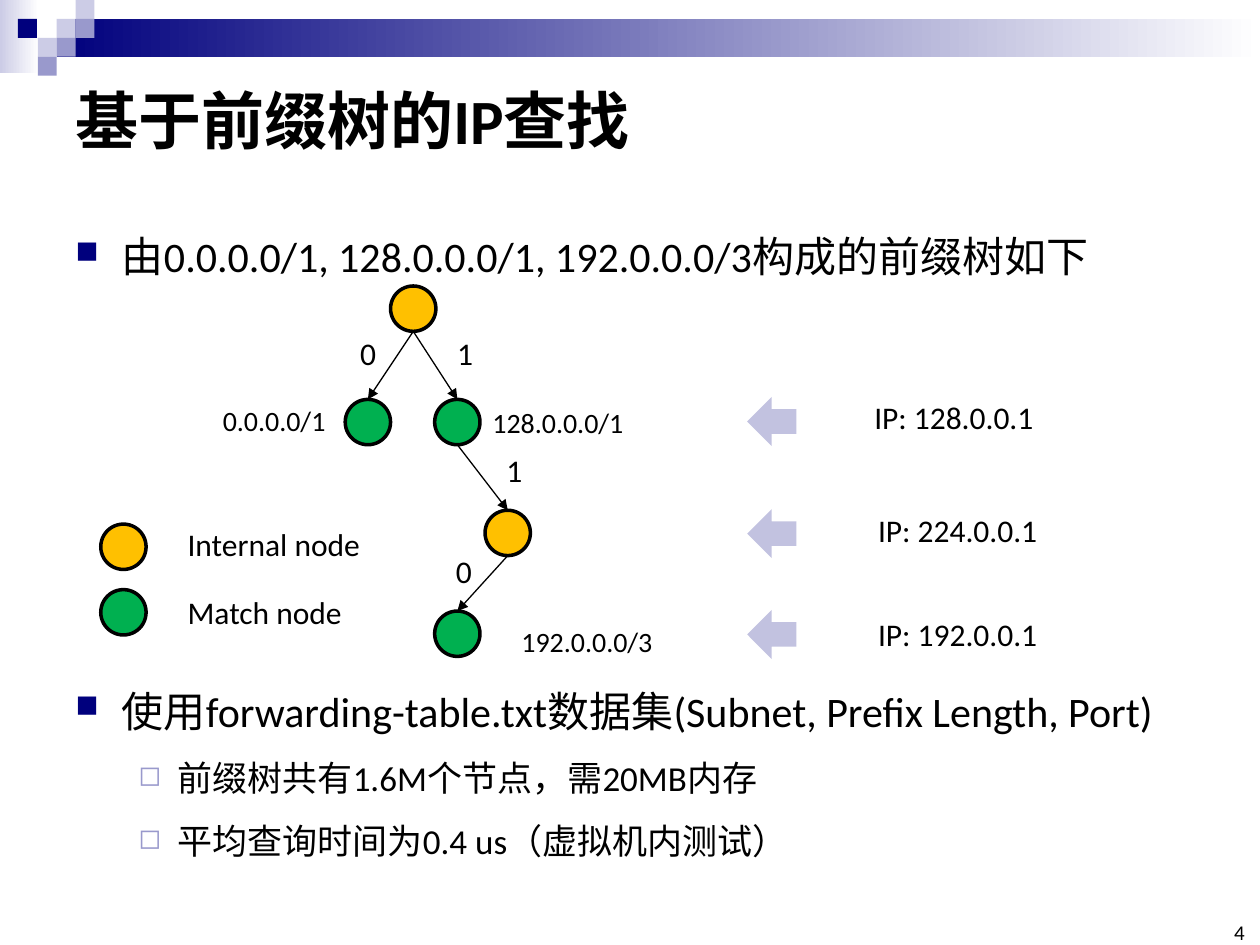
from lxml import etree
from pptx import Presentation
from pptx import util as u
from pptx.dml.color import RGBColor
from pptx.enum import shapes, text
from pptx.oxml.ns import qn

NAVY = RGBColor(0x00, 0x00, 0x7D)
LILAC = RGBColor(0x99, 0x99, 0xCC)
PALE = RGBColor(0xCC, 0xCC, 0xE6)
ARROW = RGBColor(0xC2, 0xC2, 0xE0)
AMBER = RGBColor(0xFF, 0xC0, 0x00)
GREEN = RGBColor(0x00, 0xB0, 0x50)
BLACK = RGBColor(0, 0, 0)
WHITE = RGBColor(0xFF, 0xFF, 0xFF)
KIND = shapes.MSO_SHAPE
CELL = 0.15   # header mosaic square
NODE = 0.36   # tree node diameter

prs = Presentation()
prs.slide_width, prs.slide_height = u.Inches(10), u.Inches(7.5)
s = prs.slides.add_slide(prs.slide_layouts[6])


def add_shape(kind, x, y, w, h, color, outline=None, fade=False):
    """Add a flat shape; fade runs its colour to white, left to right."""
    sp = s.shapes.add_shape(kind, *map(u.Inches, (x, y, w, h)))
    sp.shadow.inherit = False
    if fade:
        sp.fill.gradient()
        sp.fill.gradient_angle = 0
        for stop, c in zip(sp.fill.gradient_stops, (color, WHITE)):
            stop.color.rgb = c
    else:
        sp.fill.solid()
        sp.fill.fore_color.rgb = color
    if outline is None:
        sp.line.fill.background()
    else:
        sp.line.color.rgb = outline
        sp.line.width = u.Pt(2)


def add_text(x, y, w, h, lines, size, wrap=False, bold=False):
    tb = s.shapes.add_textbox(*map(u.Inches, (x, y, w, h)))
    tf = tb.text_frame
    tf.word_wrap = wrap
    for i, line in enumerate(lines):
        p = tf.add_paragraph() if i else tf.paragraphs[0]
        r = p.add_run()
        r.text = line
        r.font.name, r.font.size, r.font.bold = "Calibri", u.Pt(size), bold
        r.font.color.rgb = BLACK
    return tf


# Header band and mosaic
add_shape(KIND.RECTANGLE, 0, 0, 0.31, 0.58, PALE, fade=True)
add_shape(KIND.RECTANGLE, 3 * CELL, CELL, 10 - 3 * CELL, 2 * CELL, NAVY, fade=True)
for col, row, color in [(3, 1, PALE), (4, 0, PALE), (4, 1, LILAC), (2, 2, PALE),
                        (0.95, 1, NAVY), (3, 2, LILAC), (2, 3, LILAC)]:
    add_shape(KIND.RECTANGLE, col * CELL, row * CELL, CELL, CELL, color)

# Title
tf = add_text(0.5, 0.5, 9, 0.89, ["基于前缀树的IP查找"], 36, True, True)
tf.vertical_anchor = text.MSO_ANCHOR.MIDDLE

# Bulleted text above and below the tree
for y, h, size, lines, left, hang, char, color, share in [
    (1.58, 0.7, 24, ["由0.0.0.0/1, 128.0.0.0/1, 192.0.0.0/3构成的前缀树如下"],
     0.37, 0.37, "■", NAVY, 75),
    (5.19, 0.7, 24, ["使用forwarding-table.txt数据集(Subnet, Prefix Length, Port)"],
     0.37, 0.37, "■", NAVY, 75),
    (5.79, 1.1, 20, ["前缀树共有1.6M个节点，需20MB内存", "平均查询时间为0.4 us（虚拟机内测试）"],
     0.81, 0.31, "◻", LILAC, 80),
]:
    tf = add_text(0.5, y, 9, h, lines, size, True)
    for p in tf.paragraphs:
        p.line_spacing = 1.5
        pPr = p._p.get_or_add_pPr()
        pPr.set("marL", str(u.Inches(left)))
        pPr.set("indent", str(-u.Inches(hang)))
        clr = etree.SubElement(pPr, qn("a:buClr"))
        etree.SubElement(clr, qn("a:srgbClr")).set("val", str(color))
        etree.SubElement(pPr, qn("a:buSzPct")).set("val", str(share * 1000))
        etree.SubElement(pPr, qn("a:buChar")).set("char", char)

# Prefix tree: left and top of each node, then the edges between them
nodes = {
    "root": (3.10, 2.27, AMBER),
    "0": (2.74, 3.17, GREEN),
    "1": (3.45, 3.17, GREEN),
    "11": (3.85, 4.05, AMBER),
    "110": (3.45, 4.85, GREEN),
}
legend = [(0.8, 4.16, AMBER), (0.8, 4.68, GREEN)]
for x, y, color in [*nodes.values(), *legend]:
    add_shape(KIND.OVAL, x, y, NODE, NODE, color, BLACK)

for parent, child in [("root", "0"), ("root", "1"), ("1", "11"), ("11", "110")]:
    x1, y1, _ = nodes[parent]
    x2, y2, _ = nodes[child]
    c = s.shapes.add_connector(
        shapes.MSO_CONNECTOR.STRAIGHT,
        *map(u.Inches, (x1 + NODE / 2, y1 + NODE, x2 + NODE / 2, y2)))
    c.line.color.rgb = BLACK
    c.line.width = u.Pt(0.75)
    etree.SubElement(c.line._get_or_add_ln(), qn("a:tailEnd")).set("type", "triangle")
    etree.SubElement(c._element.spPr, qn("a:effectLst"))

# Lookup arrows beside the three levels
for y in (3.15, 4.04, 4.84):
    add_shape(KIND.LEFT_ARROW, 5.93, y, 0.39, 0.39, ARROW)

# Prefixes, edge bits, looked-up addresses and legend
for x, y, w, label, size in [
    (3.81, 3.17, 1.25, "128.0.0.0/1", 16),
    (1.67, 3.15, 1.03, "0.0.0.0/1", 16),
    (4.04, 4.91, 1.25, "192.0.0.0/3", 16),
    (2.76, 2.60, 0.33, "0", 18),
    (3.53, 2.60, 0.33, "1", 18),
    (3.92, 3.53, 0.33, "1", 18),
    (3.52, 4.33, 0.33, "0", 18),
    (6.84, 3.11, 1.48, "IP: 128.0.0.1", 18),
    (6.87, 4.01, 1.48, "IP: 224.0.0.1", 18),
    (6.87, 4.83, 1.48, "IP: 192.0.0.1", 18),
    (1.39, 4.12, 1.59, "Internal node", 18),
    (1.39, 4.66, 1.44, "Match node", 18),
]:
    add_text(x, y, w, 0.37 if size == 16 else 0.4, [label], size)

# Page number
tf = add_text(9.65, 7.33, 0.23, 0.17, ["4"], 12, True)
tf.margin_left = tf.margin_right = tf.margin_top = tf.margin_bottom = 0
tf.vertical_anchor = text.MSO_ANCHOR.BOTTOM
tf.paragraphs[0].alignment = text.PP_ALIGN.RIGHT

prs.save("out.pptx")
